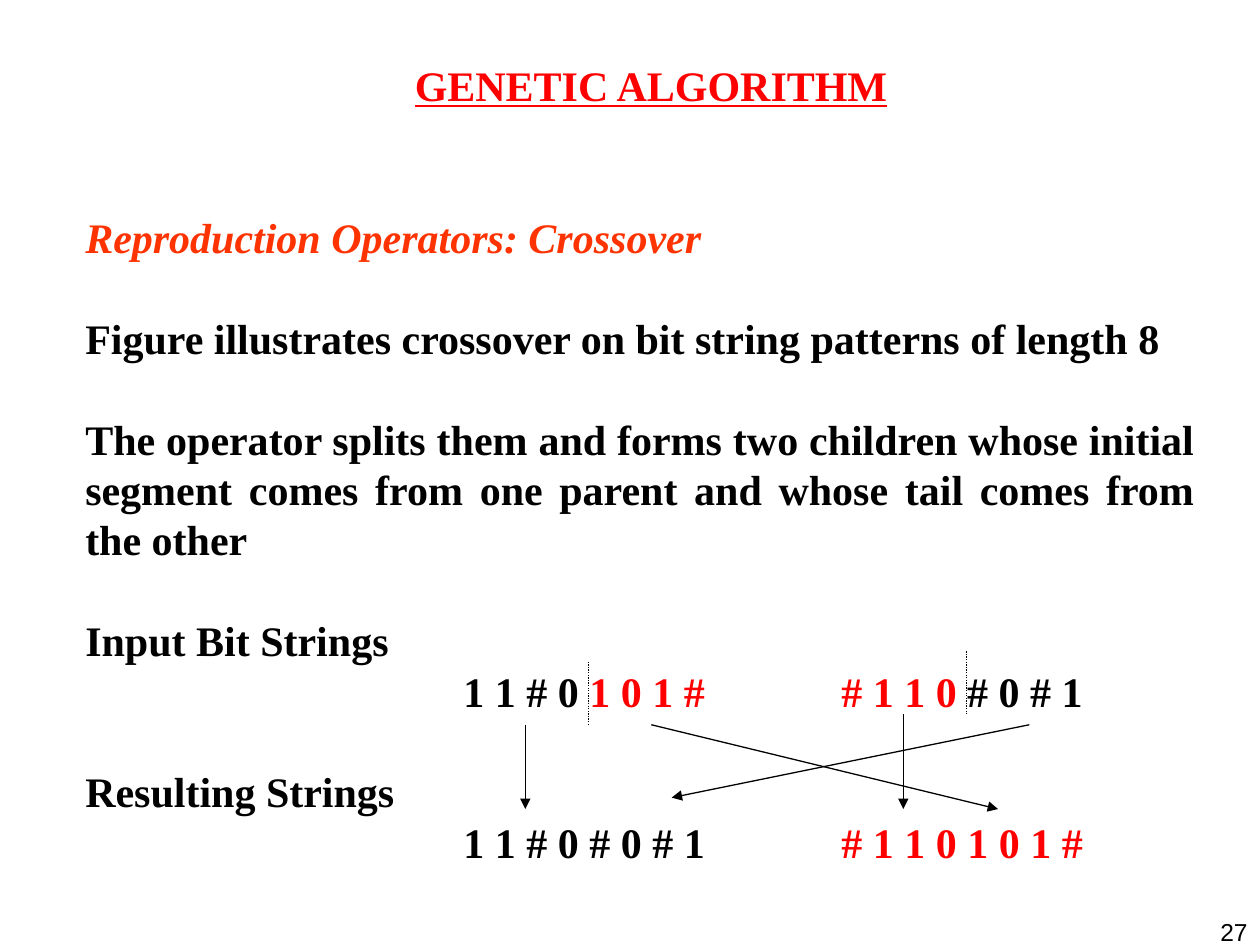
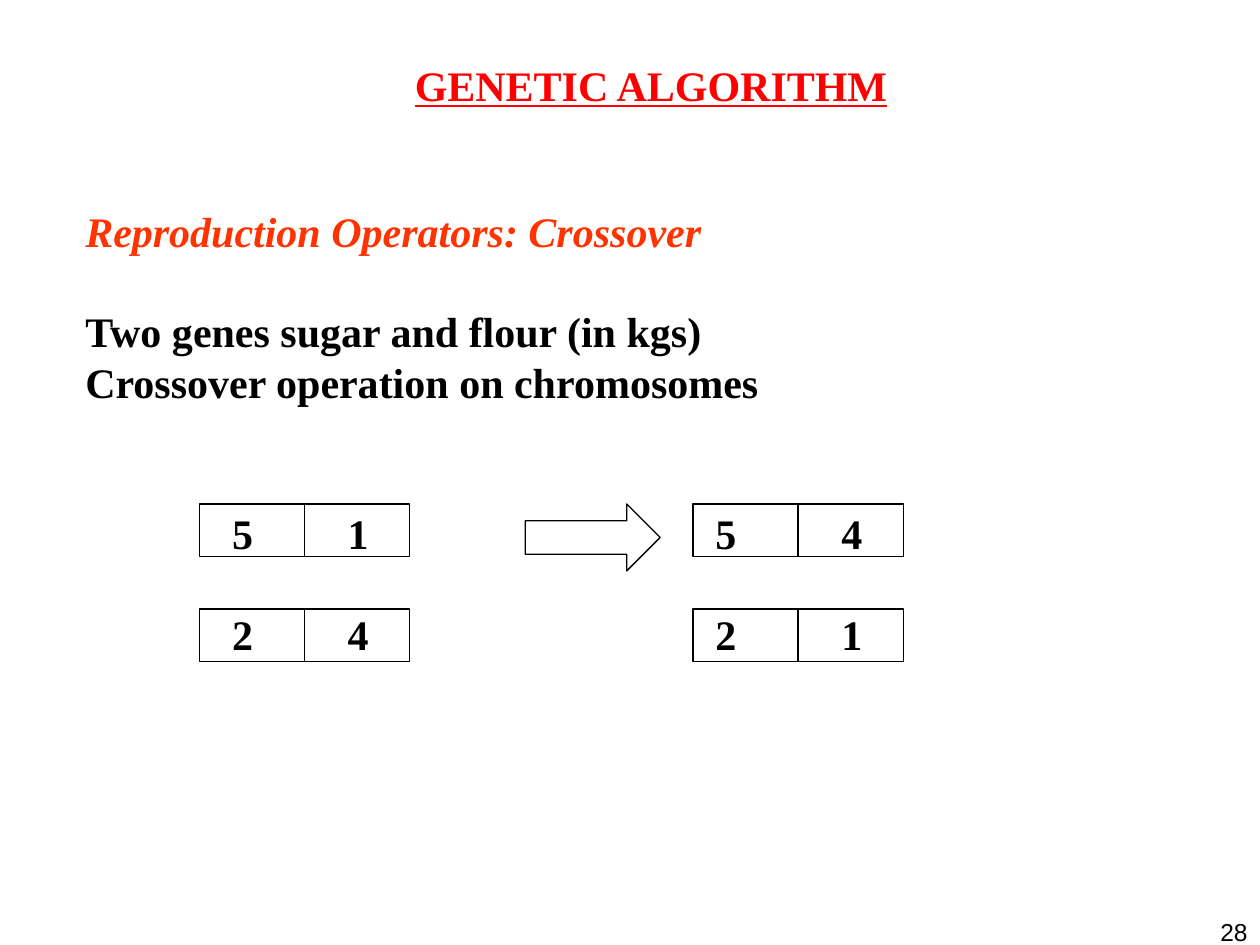
import pptx
import pptx.dml.color
import pptx.enum.dml
import pptx.enum.shapes
import pptx.enum.text
import pptx.oxml.ns
import pptx.util
import lxml.etree
from dataclasses import dataclass

Cm = pptx.util.Cm
Pt = pptx.util.Pt
ALIGN = pptx.enum.text.PP_ALIGN
SHAPE = pptx.enum.shapes.MSO_SHAPE


@dataclass(frozen=True)
class Theme:
    heading: str = "FF0000"
    topic: str = "FF3300"
    ink: str = "000000"
    serif: str = "Times New Roman"
    sans: str = "Arial"
    text_size: float = 24
    line_pitch: float = 28.8
    number_size: float = 14
    line_width: float = 0.75


THEME = Theme()

# Content: a paragraph is (runs, blank lines before it, tab stops in cm);
# a run is (text, colour, italic)
TITLE = "GENETIC ALGORITHM"
TOPIC = ([("Reproduction Operators: Crossover", THEME.topic, True)], 0, ())
BIT_TABS = (7.62, 15.24)
GENE_TABS = (2.96, 5.29, 12.7, 15.24)


def plain(text, gap=0, tabs=()):
    return [(text, THEME.ink, False)], gap, tabs


BIT_STRING_TEXT = [
    TOPIC,
    plain("Figure illustrates crossover on bit string patterns of length 8", 1),
    plain("The operator splits them and forms two children whose initial segment "
          "comes from one parent and whose tail comes from the other", 1),
    plain("Input Bit Strings", 1),
    ([("\t1 1 # 0 ", THEME.ink, False),
      ("1 0 1 #\t# 1 1 0", THEME.heading, False),
      (" # 0 # 1", THEME.ink, False)], 0, BIT_TABS),
    plain("Resulting Strings", 1),
    ([("\t1 1 # 0 # 0 # 1", THEME.ink, False),
      ("\t# 1 1 0 1 0 1 #", THEME.heading, False)], 0, BIT_TABS),
]
GENE_TEXT = [
    TOPIC,
    plain("Two genes sugar and flour (in kgs)", 1),
    plain("Crossover operation on chromosomes"),
    plain("\t5\t1\t5\t4", 2, GENE_TABS),
    plain("\t2\t4\t2\t1", 1, GENE_TABS),
]

# Geometry in cm
TITLE_BOX = (3.18, 1.07, 19.89, 1.27)
NUMBER_BOX = (24.03, 18.36, 1.37, 0.69)
BIT_STRING_BOX = (1.47, 4.14, 22.86, 13.46)
GENE_BOX = (1.47, 4.01, 22.86, 10.41)
SPLIT_MARKS = [(11.86, 13.34, 11.86, 14.61), (19.48, 13.13, 19.48, 14.4)]
SEGMENT_ARROWS = [
    (10.59, 14.61, 10.59, 16.31),
    (18.21, 14.4, 18.21, 16.31),
    (20.75, 14.61, 13.54, 16.08),
    (13.13, 14.61, 20.12, 16.31),
]
PARENTS_LEFT, CHILDREN_LEFT, GENES_TOP = 4.02, 13.97, 10.16
GENE_WIDTH, GENE_HEIGHT, GENE_ROW_PITCH = 2.12, 1.06, 2.12
RESULT_ARROW = (10.59, GENES_TOP, 2.72, 1.35)


def lengths(values):
    return [Cm(value) for value in values]


def colour(value):
    return pptx.dml.color.RGBColor.from_string(value)


def add_child(parent, tag, **attributes):
    child = lxml.etree.SubElement(parent, pptx.oxml.ns.qn(tag))
    for name, value in attributes.items():
        child.set(name, str(value))
    return child


# Text
def add_text_frame(slide, box):
    frame = slide.shapes.add_textbox(*lengths(box)).text_frame
    frame.word_wrap = True
    return frame


def add_run(paragraph, text, fill, font=THEME.serif, size=THEME.text_size, bold=True):
    run = paragraph.add_run()
    run.text = text
    run.font.name, run.font.size, run.font.bold = font, Pt(size), bold
    run.font.color.rgb = colour(fill)
    return run


def add_body(slide, box, paragraphs):
    frame = add_text_frame(slide, box)
    for index, (runs, gap, tabs) in enumerate(paragraphs):
        paragraph = frame.add_paragraph() if index else frame.paragraphs[0]
        paragraph.alignment = ALIGN.JUSTIFY
        paragraph.line_spacing = Pt(THEME.line_pitch)
        paragraph.space_before = Pt(gap * THEME.line_pitch)
        if tabs:
            tab_list = add_child(paragraph._p.get_or_add_pPr(), "a:tabLst")
            for stop in tabs:
                add_child(tab_list, "a:tab", pos=int(Cm(stop)), algn="l")
        for text, fill, italic in runs:
            add_run(paragraph, text, fill).font.italic = italic


# Lines and outlines
def style_line(line):
    line.color.rgb = colour(THEME.ink)
    line.width = Pt(THEME.line_width)


def add_line(slide, ends, arrow=False):
    connector = slide.shapes.add_connector(
        pptx.enum.shapes.MSO_CONNECTOR.STRAIGHT, *lengths(ends))
    style_line(connector.line)
    if arrow:
        add_child(connector.line._get_or_add_ln(), "a:tailEnd", type="triangle")
    else:
        connector.line.dash_style = pptx.enum.dml.MSO_LINE.ROUND_DOT
    add_child(connector._element.spPr, "a:effectLst")


def add_outline(slide, kind, box):
    shape = slide.shapes.add_shape(kind, *lengths(box))
    shape.shadow.inherit = False
    shape.fill.background()
    style_line(shape.line)


# Slides
def add_slide(presentation, number, body_box, body):
    slide = presentation.slides.add_slide(presentation.slide_layouts[6])
    paragraph = add_text_frame(slide, NUMBER_BOX).paragraphs[0]
    paragraph.alignment = ALIGN.RIGHT
    add_run(paragraph, str(number), THEME.ink, THEME.sans, THEME.number_size, False)

    add_body(slide, body_box, body)

    paragraph = add_text_frame(slide, TITLE_BOX).paragraphs[0]
    paragraph.alignment = ALIGN.CENTER
    paragraph.line_spacing = Pt(THEME.line_pitch)
    add_run(paragraph, TITLE, THEME.heading).font.underline = True
    return slide


def add_bit_string_slide(presentation):
    slide = add_slide(presentation, 27, BIT_STRING_BOX, BIT_STRING_TEXT)
    for ends in SPLIT_MARKS:
        add_line(slide, ends)
    for ends in SEGMENT_ARROWS:
        add_line(slide, ends, arrow=True)


def add_gene_slide(presentation):
    slide = add_slide(presentation, 28, GENE_BOX, GENE_TEXT)
    for left in (PARENTS_LEFT, CHILDREN_LEFT):
        for row in range(2):
            for column in range(2):
                add_outline(slide, SHAPE.RECTANGLE, (
                    left + column * GENE_WIDTH, GENES_TOP + row * GENE_ROW_PITCH,
                    GENE_WIDTH, GENE_HEIGHT))
    add_outline(slide, SHAPE.RIGHT_ARROW, RESULT_ARROW)


def main():
    presentation = pptx.Presentation()
    presentation.slide_width, presentation.slide_height = Cm(25.4), Cm(19.05)
    add_bit_string_slide(presentation)
    add_gene_slide(presentation)
    presentation.save("out.pptx")


if __name__ == "__main__":
    main()
